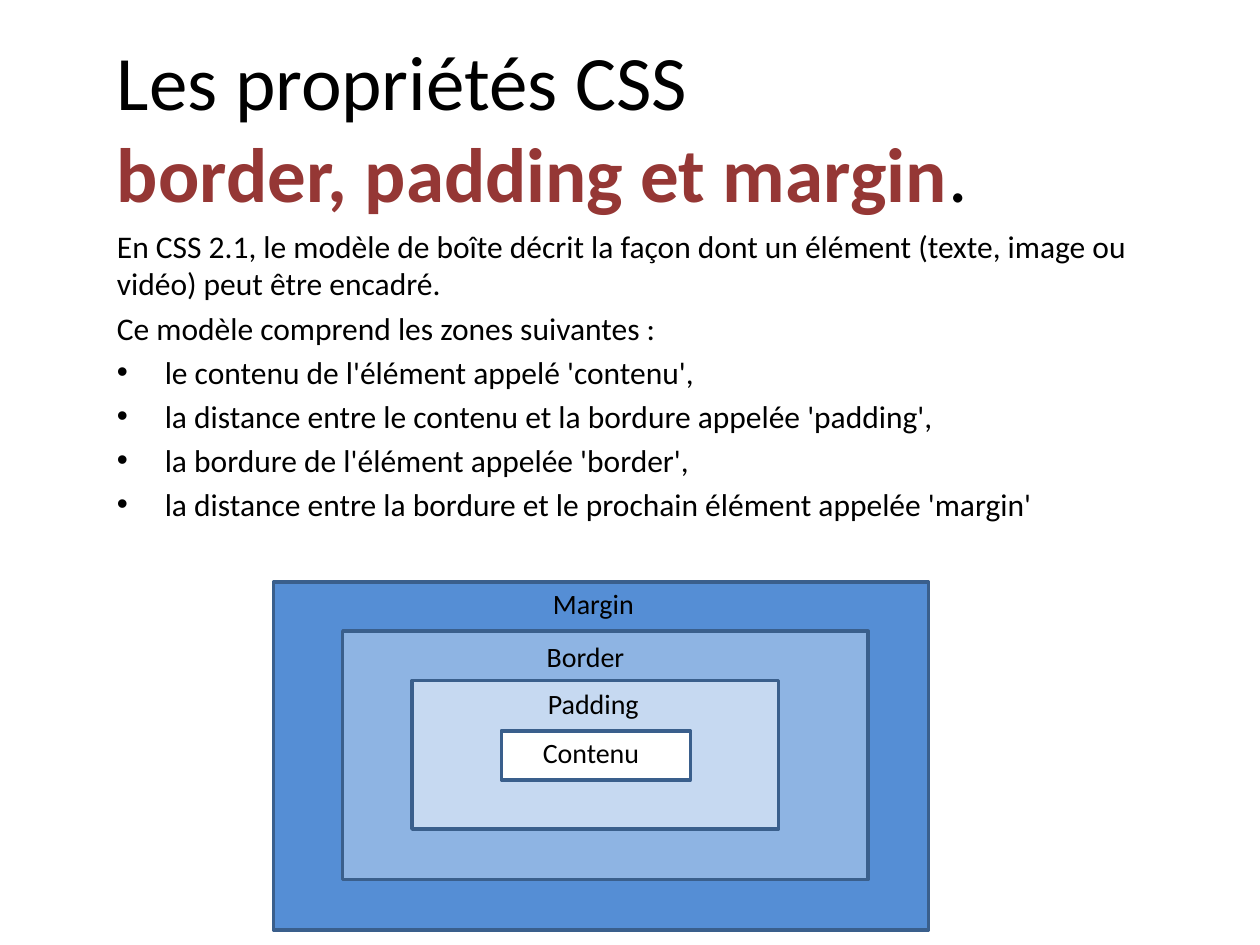
"""Build a slide on the CSS border, padding and margin properties."""
from dataclasses import dataclass

from lxml import etree
from pptx import Presentation
from pptx.dml.color import RGBColor
from pptx.enum import shapes, text
from pptx.oxml.ns import qn
from pptx.util import Inches, Pt


@dataclass(frozen=True)
class Theme:
    font: str = "Calibri"
    ink: str = "000000"
    accent: str = "953735"
    line: str = "3A5F8C"
    line_width: float = 2
    title: int = 44
    body: int = 18
    label: int = 16


THEME = Theme()
TITLE = [
    [("Les propriétés CSS", {})],
    [("border, padding et margin", {"color": THEME.accent, "bold": True}), (".", {})],
]
INTRO = [
    "En CSS 2.1, le modèle de boîte décrit la façon dont un élément (texte, image ou vidéo) peut être encadré.",
    "Ce modèle comprend les zones suivantes :",
]
ZONES = [
    "le contenu de l'élément appelé 'contenu',",
    "la distance entre le contenu et la bordure appelée 'padding',",
    "la bordure de l'élément appelée 'border',",
    "la distance entre la bordure et le prochain élément appelée 'margin'",
]
BOXES = [
    ("Margin", "558ED5", (2.17, 4.62, 5.2, 2.76), (4.29, 4.61)),
    ("Border", "8EB4E3", (2.72, 5.01, 4.17, 1.97), (4.24, 5.03)),
    ("Padding", "C6D9F1", (3.27, 5.4, 2.91, 1.18), (4.25, 5.4)),
    ("Contenu", "FFFFFF", (3.98, 5.8, 1.5, 0.39), (4.21, 5.79)),
]
LABEL_SIZE = (1.02, 0.37)
INDENT = 0.38


def add_run(p, words, size=THEME.body, color=THEME.ink, bold=False):
    r = p.add_run()
    r.text = words
    r.font.name = THEME.font
    r.font.size = Pt(size)
    r.font.bold = bold
    r.font.color.rgb = RGBColor.from_string(color)


def add_frame(slide, at, anchor=text.MSO_ANCHOR.TOP):
    tf = slide.shapes.add_textbox(*map(Inches, at)).text_frame
    tf.word_wrap = True
    tf.vertical_anchor = anchor
    return tf


def add_bullet(p):
    pPr = p._p.get_or_add_pPr()
    pPr.set("marL", str(Inches(INDENT)))
    pPr.set("indent", str(-Inches(INDENT)))
    etree.SubElement(pPr, qn("a:buFont")).set("typeface", "Arial")
    etree.SubElement(pPr, qn("a:buChar")).set("char", "•")


def add_title(slide):
    p = add_frame(slide, (0.83, 0.29, 8.83, 1.41), text.MSO_ANCHOR.MIDDLE).paragraphs[0]
    for i, line in enumerate(TITLE):
        if i:
            p.add_line_break()
        for words, style in line:
            add_run(p, words, size=THEME.title, **style)


def add_body(slide):
    tf = add_frame(slide, (0.83, 1.75, 8.83, 5.47))
    for i, words in enumerate(INTRO + ZONES):
        p = tf.add_paragraph() if i else tf.paragraphs[0]
        if i:
            p.space_before = Pt(0.2 * THEME.body)
        if i >= len(INTRO):
            add_bullet(p)
        add_run(p, words)


def add_box(slide, fill, at):
    sp = slide.shapes.add_shape(shapes.MSO_SHAPE.RECTANGLE, *map(Inches, at))
    sp.shadow.inherit = False
    sp.fill.solid()
    sp.fill.fore_color.rgb = RGBColor.from_string(fill)
    sp.line.color.rgb = RGBColor.from_string(THEME.line)
    sp.line.width = Pt(THEME.line_width)


def main():
    prs = Presentation()
    prs.slide_width, prs.slide_height = Inches(10), Inches(7.5)
    slide = prs.slides.add_slide(prs.slide_layouts[6])
    add_title(slide)
    add_body(slide)
    for name, fill, at, label_at in BOXES:
        add_box(slide, fill, at)
        tf = add_frame(slide, label_at + LABEL_SIZE)
        tf.auto_size = text.MSO_AUTO_SIZE.SHAPE_TO_FIT_TEXT
        add_run(tf.paragraphs[0], name, size=THEME.label)
    prs.save("out.pptx")


if __name__ == "__main__":
    main()
